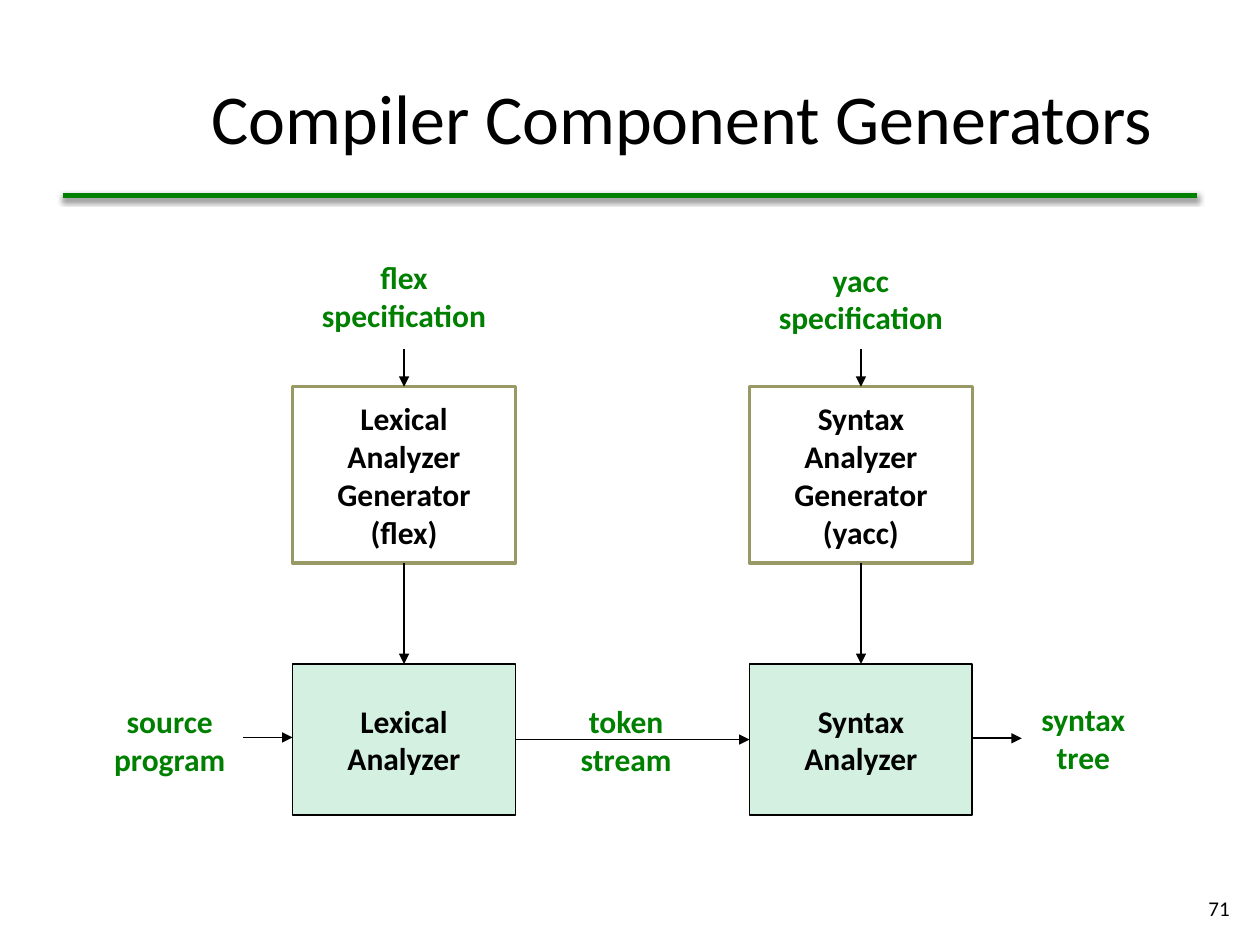
from dataclasses import dataclass

from lxml.etree import SubElement
from pptx import Presentation
from pptx.dml.color import RGBColor as RGB
from pptx.enum.shapes import MSO_CONNECTOR as Conn, MSO_SHAPE as Shape
from pptx.enum.text import MSO_ANCHOR as Anchor, PP_ALIGN as Align
from pptx.oxml.ns import qn
from pptx.util import Pt


@dataclass(frozen=True)
class Theme:
    font: str = "Calibri"
    black: RGB = RGB(0, 0, 0)
    green: RGB = RGB(0, 0x80, 0)
    white: RGB = RGB(0xFF, 0xFF, 0xFF)
    mint: RGB = RGB(0xD4, 0xF0, 0xE1)
    olive: RGB = RGB(0x99, 0x99, 0x66)
    title: float = 40
    body: float = 18
    number: float = 12


@dataclass(frozen=True)
class Box:
    x: float
    y: float
    w: float
    h: float
    lines: tuple[str, ...]
    fill: RGB
    line: RGB
    weight: float


@dataclass(frozen=True)
class Label:
    x: float
    y: float
    w: float
    h: float
    lines: tuple[str, ...]
    size: float
    color: RGB
    bold: bool = True
    align: Align = Align.CENTER
    wrap: bool = False


@dataclass(frozen=True)
class Line:
    x1: float
    y1: float
    x2: float
    y2: float


T = Theme()


def write(sp, lines: tuple[str, ...], size: float, color: RGB, bold: bool,
          align: Align, wrap: bool) -> None:
    tf = sp.text_frame
    tf.word_wrap = wrap
    tf.vertical_anchor = Anchor.MIDDLE
    tf.text = "\n".join(lines)
    for p in tf.paragraphs:
        p.alignment = align
        p.font.name = T.font
        p.font.size = Pt(size)
        p.font.bold = bold
        p.font.color.rgb = color


def draw_box(s, b: Box) -> None:
    sp = s.shapes.add_shape(Shape.RECTANGLE, Pt(b.x), Pt(b.y), Pt(b.w), Pt(b.h))
    sp.shadow.inherit = False
    sp.fill.solid()
    sp.fill.fore_color.rgb = b.fill
    sp.line.color.rgb = b.line
    sp.line.width = Pt(b.weight)
    write(sp, b.lines, T.body, T.black, True, Align.CENTER, False)


def draw_label(s, b: Label) -> None:
    sp = s.shapes.add_textbox(Pt(b.x), Pt(b.y), Pt(b.w), Pt(b.h))
    write(sp, b.lines, b.size, b.color, b.bold, b.align, b.wrap)


def draw_line(s, ln: Line, color: RGB, weight: float):
    sp = s.shapes.add_connector(Conn.STRAIGHT, Pt(ln.x1), Pt(ln.y1), Pt(ln.x2), Pt(ln.y2))
    sp.line.color.rgb = color
    sp.line.width = Pt(weight)
    effects = SubElement(sp.element.spPr, qn("a:effectLst"))
    return sp, effects


def draw_arrow(s, ln: Line) -> None:
    sp, _ = draw_line(s, ln, T.black, 1)
    SubElement(sp.line._get_or_add_ln(), qn("a:tailEnd"), type="triangle")


def draw_rule(s, ln: Line) -> None:
    _, effects = draw_line(s, ln, T.green, 3)
    shadow = SubElement(effects, qn("a:outerShdw"), blurRad=str(Pt(3.1)),
                        dist=str(Pt(1.6)), dir="5400000", rotWithShape="0")
    color = SubElement(shadow, qn("a:srgbClr"), val=str(T.black))
    SubElement(color, qn("a:alpha"), val="62000")


def main() -> None:
    prs = Presentation()
    prs.slide_width, prs.slide_height = Pt(720), Pt(540)
    s = prs.slides.add_slide(prs.slide_layouts[6])

    draw_label(s, Label(113.8, 21.6, 595.4, 90, ("Compiler Component Generators",),
                        T.title, T.black, False, Align.LEFT, True))
    draw_rule(s, Line(36, 111.6, 684, 111.6))
    draw_label(s, Label(681, 504.7, 28.8, 28.8, ("71",), T.number, T.black,
                        False, Align.RIGHT, True))

    box_w, label_h = 127.4, 57.6
    spec_end, gen_top, gen_h, run_top, run_h = 199.4, 221, 100.8, 379.4, 86.4
    left, right = 167.2, 428.3
    columns = ((left, "Lexical", "flex", 140.4), (right, "Syntax", "yacc", 141.8))
    for x, stage, tool, spec_top in columns:
        mid = x + box_w / 2
        draw_label(s, Label(x, spec_top, box_w, label_h, (tool, "specification"),
                            T.body, T.green))
        draw_box(s, Box(x, gen_top, box_w, gen_h,
                        (stage, "Analyzer", "Generator", f"({tool})"),
                        T.white, T.olive, 2))
        draw_box(s, Box(x, run_top, box_w, run_h, (stage, "Analyzer"),
                        T.mint, T.black, 1))
        draw_arrow(s, Line(mid, spec_end, mid, gen_top))
        draw_arrow(s, Line(mid, gen_top + gen_h, mid, run_top))

    for x, y, w, lines in ((54.5, 394, 85, ("source", "program")),
                           (322.5, 394, 70.6, ("token", "stream")),
                           (583.7, 393, 70.6, ("syntax", "tree"))):
        draw_label(s, Label(x, y, w, label_h, lines, T.body, T.green))

    for x1, x2, y in ((139, left, 421.4),
                      (left + box_w, right, 422.6),
                      (right + box_w, 583.9, 421.9)):
        draw_arrow(s, Line(x1, y, x2, y))

    prs.save("out.pptx")


if __name__ == "__main__":
    main()
